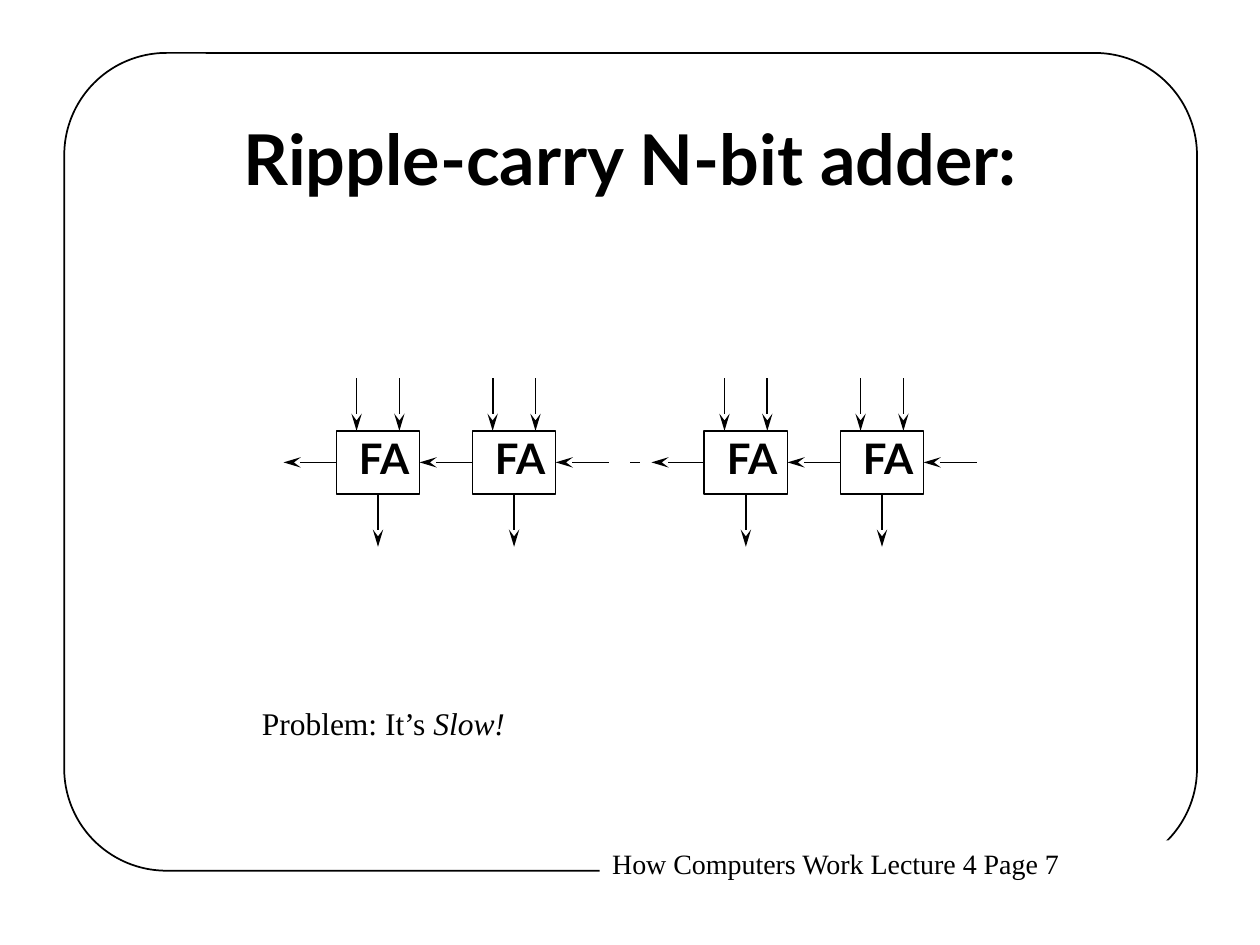
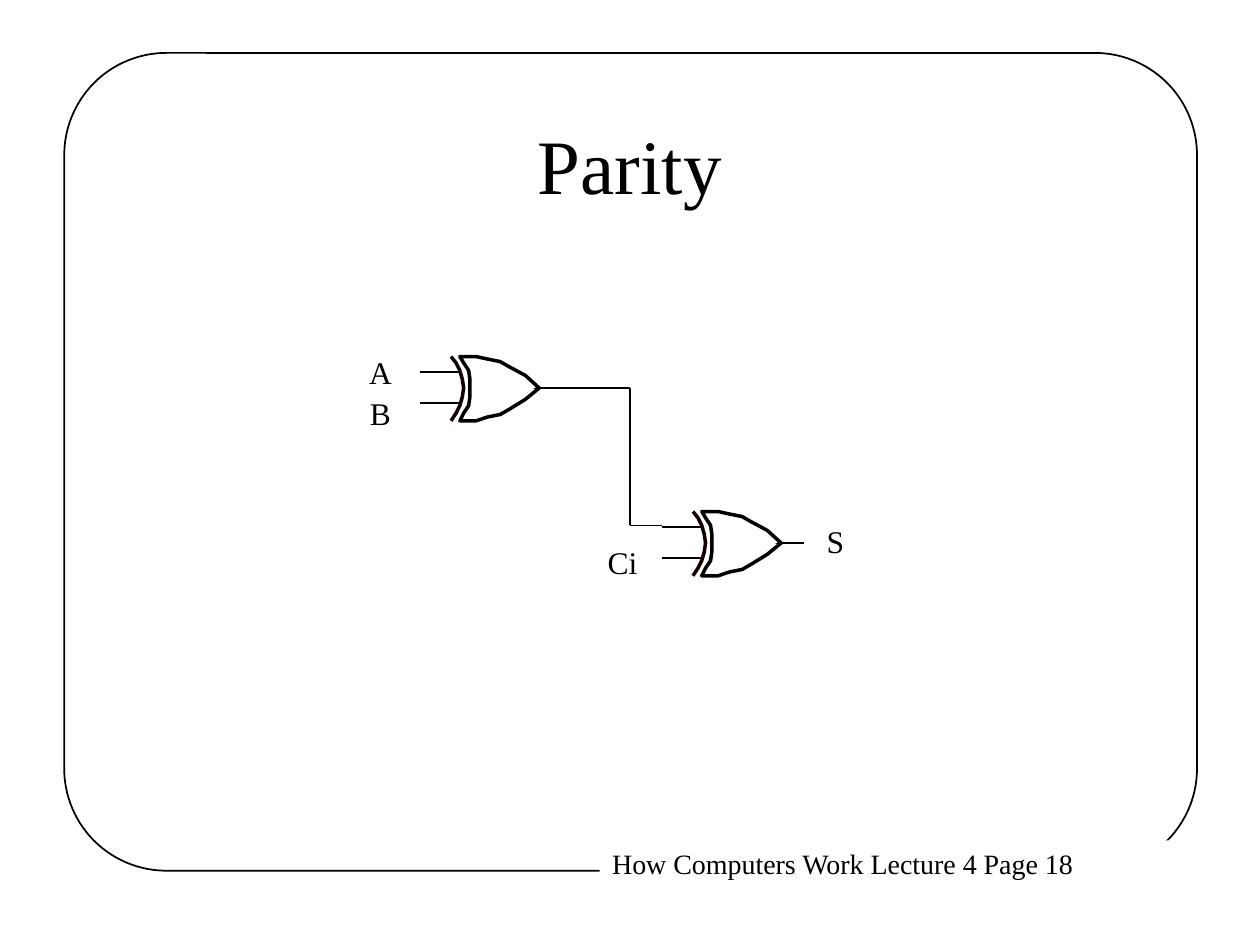
from dataclasses import dataclass
from itertools import pairwise

from lxml.etree import SubElement
from pptx import Presentation
from pptx.dml.color import RGBColor
from pptx.enum.shapes import MSO_CONNECTOR as Link, MSO_SHAPE as Kind
from pptx.enum.text import MSO_ANCHOR as Anchor, PP_ALIGN as Align
from pptx.oxml.ns import qn
from pptx.util import Pt

PX = 9144
BLACK = RGBColor(0, 0, 0)
WHITE = RGBColor(255, 255, 255)
RIM_INK = RGBColor(17, 0, 0)
SERIF = "Times New Roman"
SANS = "Lato"

ADDER_MIDS = (300, 408, 592, 700)
HALF = 33
REACH = 42
TOP, TALL = 342, 50
MID = TOP + TALL // 2

RIM = ((25, 0), (29, 5), (32, 11), (34, 18), (35, 25), (34, 32), (32, 39), (29, 45), (25, 51))
BACK = ((32, 0), (35, 5), (39, 11), (40, 18), (40, 25), (40, 32), (39, 39), (35, 45), (32, 51))
BODY = (
    (95, 25), (84, 15), (71, 8), (64, 4), (54, 2), (45, 0), *BACK,
    (45, 51), (54, 48), (64, 46), (71, 42), (84, 34),
)
INSIDE = (
    (93, 24), (86, 20), (81, 14), (74, 10), (67, 8), (59, 4), (51, 2), (39, 0),
    (25, 0), (29, 5), (33, 10), (35, 17), (35, 24), (35, 31), (33, 37), (29, 43),
    (25, 48), (39, 48), (51, 46), (59, 44), (67, 40), (74, 37), (81, 33), (86, 28),
)
WIRES = ((88, 25, 113, 25), (38, 12, 0, 12), (38, 37, 0, 37))


@dataclass(frozen=True)
class Style:
    size: int
    face: str = SERIF
    bold: bool = False
    center: bool = False
    space: float = 1.0


@dataclass(frozen=True)
class Label:
    text: str
    left: int
    top: int
    width: int
    height: int
    style: Style


FOOT = Style(16)
NOTE = Style(18)
PIN = Style(18, center=True)
CELL = Style(24, SANS, True, space=0.9)
HEAD = Style(44, center=True)
BOLD_HEAD = Style(40, SANS, True, True, 0.9)

PINS = (
    Label("A", 279, 275, 46, 40, PIN),
    Label("B", 279, 308, 46, 40, PIN),
    Label("Ci", 464, 426, 60, 40, PIN),
    Label("S", 640, 409, 46, 40, PIN),
)


def paint(shape, fill: RGBColor | None, ink: RGBColor | None, width: int = 1) -> None:
    shape.shadow.inherit = False
    if fill is None:
        shape.fill.background()
    else:
        shape.fill.solid()
        shape.fill.fore_color.rgb = fill
    if ink is None:
        shape.line.fill.background()
    else:
        shape.line.color.rgb = ink
        shape.line.width = Pt(width)


def add_box(slide, kind: Kind, left: int, top: int, width: int, height: int):
    return slide.shapes.add_shape(kind, left * PX, top * PX, width * PX, height * PX)


def format_run(run, style: Style) -> None:
    font = run.font
    font.name, font.size, font.bold = style.face, Pt(style.size), style.bold
    font.color.rgb = BLACK


def add_label(slide, label: Label):
    box = slide.shapes.add_textbox(
        label.left * PX, label.top * PX, label.width * PX, label.height * PX
    )
    style, frame = label.style, box.text_frame
    frame.word_wrap = True
    frame.vertical_anchor = Anchor.MIDDLE if style.center else Anchor.TOP
    frame.text = label.text
    line = frame.paragraphs[0]
    line.alignment = Align.CENTER if style.center else Align.LEFT
    line.line_spacing = style.space
    format_run(line.runs[0], style)
    return box


def add_wire(shapes, x1: int, y1: int, x2: int, y2: int, arrow: bool = False):
    wire = shapes.add_connector(Link.STRAIGHT, x1 * PX, y1 * PX, x2 * PX, y2 * PX)
    wire.line.color.rgb = BLACK
    wire.line.width = Pt(1)
    if arrow:
        SubElement(wire.line._get_or_add_ln(), qn("a:tailEnd"), type="stealth", len="lg")
    SubElement(wire._element.spPr, qn("a:effectLst"))
    return wire


def add_curve(shapes, left: int, top: int, dots: tuple, close: bool):
    path = [(left + x, top + y) for x, y in dots]
    pen = shapes.build_freeform(*path[0], scale=PX)
    pen.add_line_segments(path[1:], close=close)
    return pen.convert_to_shape()


def add_gate(slide, left: int, top: int) -> None:
    shapes = slide.shapes.add_group_shape().shapes
    for x1, y1, x2, y2 in WIRES:
        add_wire(shapes, left + x1, top + y1, left + x2, top + y2)
    paint(add_curve(shapes, left, top, INSIDE, True), WHITE, None)
    paint(add_curve(shapes, left, top, RIM, False), None, RIM_INK, 2)
    paint(add_curve(shapes, left, top, BODY, True), None, BLACK, 2)


def add_adder(slide, mid: int):
    box = add_box(slide, Kind.RECTANGLE, mid - HALF, TOP, 2 * HALF, TALL)
    paint(box, WHITE, BLACK)
    add_label(slide, Label("FA", mid - 25, 343, 62, 46, CELL))
    for x in (mid - 17, mid + 17):
        add_wire(slide.shapes, x, TOP - REACH, x, TOP, True)
    base = TOP + TALL
    add_wire(slide.shapes, mid, base, mid, base + REACH, True).begin_connect(box, 2)
    carry = add_wire(slide.shapes, mid - HALF, MID, mid - HALF - REACH, MID, True)
    carry.begin_connect(box, 1)
    return box, carry


def start_slide(deck, title: str, style: Style, page: int):
    slide = deck.slides.add_slide(deck.slide_layouts[6])
    frame = add_box(slide, Kind.ROUNDED_RECTANGLE, 51, 42, 899, 649)
    frame.adjustments[0] = 0.125
    paint(frame, None, BLACK)
    foot = f"How Computers Work Lecture 4 Page {page}"
    band = add_label(slide, Label(foot, 476, 667, 459, 37, FOOT))
    band.fill.solid()
    band.fill.fore_color.rgb = WHITE
    add_label(slide, Label(title, 75, 67, 850, 125, style))
    return slide


def draw_ripple(deck) -> None:
    slide = start_slide(deck, "Ripple-carry N-bit adder:", BOLD_HEAD, 7)
    cells = [add_adder(slide, mid) for mid in ADDER_MIDS]
    for pair in (0, 2):
        (low, _), (high, carry) = cells[pair:pair + 2]
        carry.end_connect(low, 3)
        edge = ADDER_MIDS[pair + 1] + HALF
        feed = add_wire(slide.shapes, edge + REACH, MID, edge, MID, True)
        feed.end_connect(high, 3)
    add_wire(slide.shapes, 500, MID, 508, MID)
    note = add_label(slide, Label("Problem: It’s ", 198, 554, 230, 70, NOTE))
    run = note.text_frame.paragraphs[0].add_run()
    run.text = "Slow!"
    format_run(run, NOTE)
    run.font.italic = True


def draw_parity(deck) -> None:
    slide = start_slide(deck, "Parity", HEAD, 18)
    add_gate(slide, 525, 406)
    add_gate(slide, 333, 283)
    route = ((442, 308), (500, 308), (500, 417), (525, 417))
    for start, end in pairwise(route):
        add_wire(slide.shapes, *start, *end)
    for pin in PINS:
        add_label(slide, pin)


def main() -> None:
    deck = Presentation()
    deck.slide_width, deck.slide_height = 1000 * PX, 750 * PX
    draw_ripple(deck)
    draw_parity(deck)
    deck.save("out.pptx")


if __name__ == "__main__":
    main()
